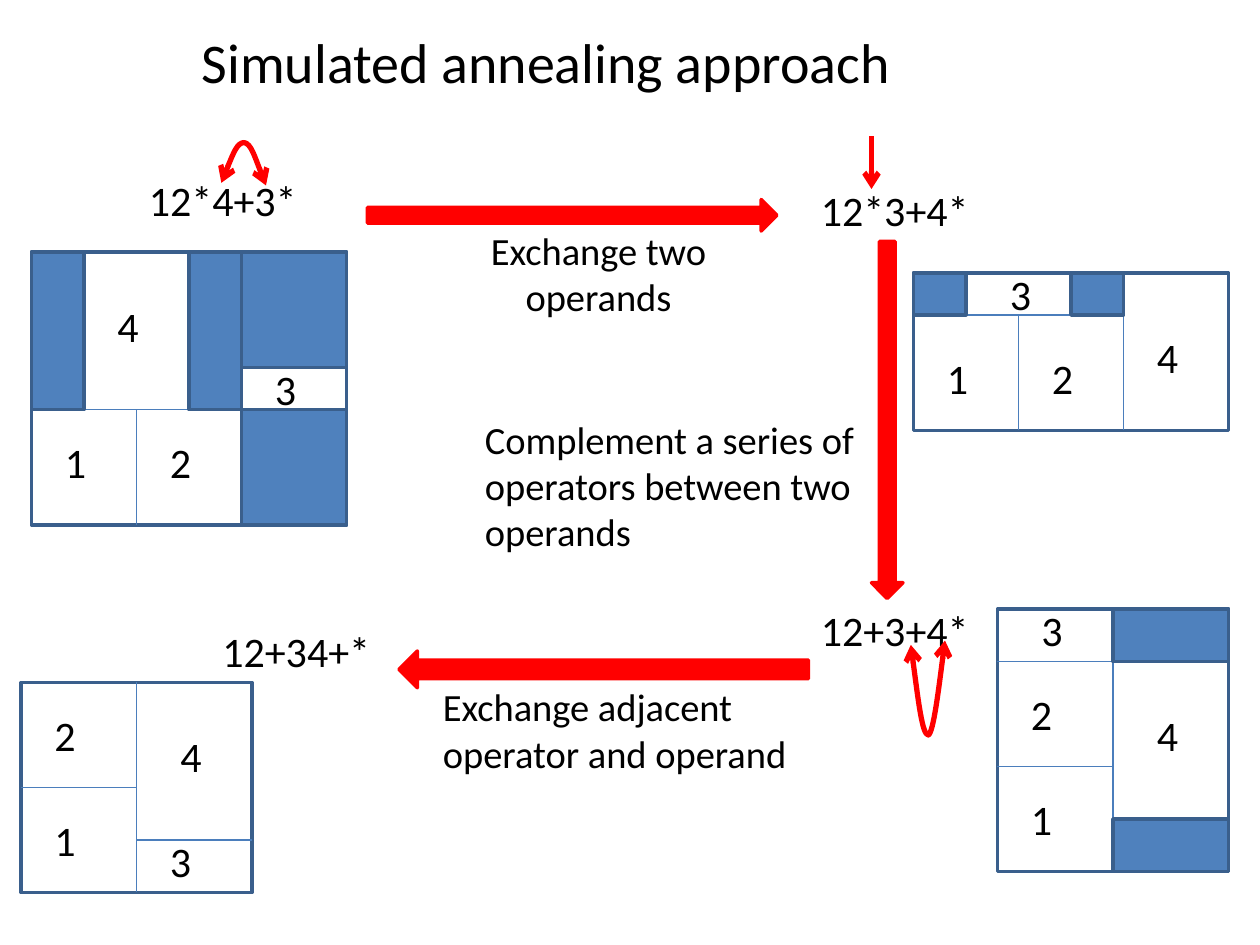
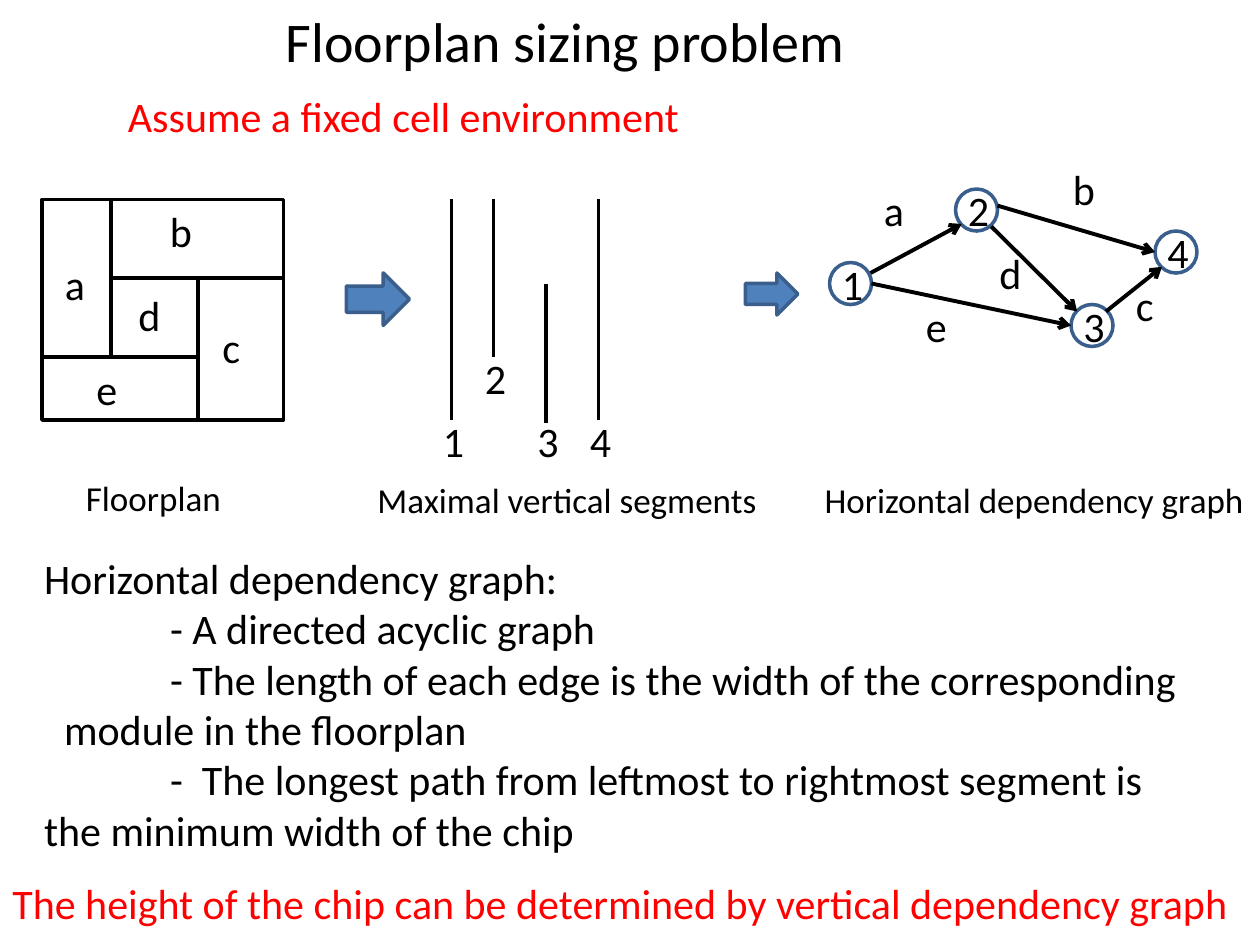
from dataclasses import dataclass

from pptx import Presentation
from pptx.dml.color import RGBColor
from pptx.enum.shapes import MSO_CONNECTOR, MSO_SHAPE
from pptx.enum.text import MSO_ANCHOR, MSO_AUTO_SIZE, PP_ALIGN
from pptx.oxml.ns import qn
from pptx.util import Pt

RECT, OVAL = MSO_SHAPE.RECTANGLE, MSO_SHAPE.OVAL
RIGHT, LEFT, DOWN = MSO_SHAPE.RIGHT_ARROW, MSO_SHAPE.LEFT_ARROW, MSO_SHAPE.DOWN_ARROW
STRAIGHT = MSO_CONNECTOR.STRAIGHT
START, CENTER = PP_ALIGN.LEFT, PP_ALIGN.CENTER
TOP, FIXED = MSO_ANCHOR.TOP, MSO_AUTO_SIZE.NONE


@dataclass(frozen=True)
class Theme:
    font: str = "Calibri"
    black: str = "000000"
    red: str = "FF0000"
    blue: str = "4F81BD"
    navy: str = "3A5F8C"
    wall: str = "4B7EBC"
    head: int = 32
    text: int = 24
    note: int = 22
    small: int = 20
    thin: float = 0.75
    edge: float = 2
    bold: float = 2.25
    thick: float = 3


T = Theme()
FRAME = dict(word_wrap=True, auto_size=FIXED, vertical_anchor=TOP)


def apply(item, values):
    for name, value in values.items():
        setattr(item, name, value)


def rgb(color):
    return RGBColor.from_string(color)


def shift(box, x, y):
    return box[0] + x, box[1] + y


def write(shape, lines, size=T.text, color=T.black, align=START):
    frame = shape.text_frame
    apply(frame, FRAME)
    frame.text = "\n".join(lines)
    for para in frame.paragraphs:
        apply(para, dict(alignment=align, space_before=Pt(0)))
        for run in para.runs:
            apply(run.font, dict(name=T.font, size=Pt(size)))
            run.font.color.rgb = rgb(color)


def text(slide, box, words, **style):
    write(slide.shapes.add_textbox(*map(Pt, box)), [words], **style)


def holder(shape, box, lines, **style):
    apply(shape, dict(zip(("left", "top", "width", "height"), map(Pt, box))))
    write(shape, lines, **style)


def stroke(shape, color, width, ends=()):
    shape.line.color.rgb = rgb(color)
    shape.line.width = Pt(width)
    for end in ends:
        tip = shape.line._get_or_add_ln().makeelement(qn("a:" + end), {"type": "arrow"})
        shape.line._get_or_add_ln().append(tip)


def block(slide, kind, box, fill=None, edge=T.navy):
    shape = slide.shapes.add_shape(kind, *map(Pt, box))
    shape.shadow.inherit = False
    if fill:
        shape.fill.solid()
        shape.fill.fore_color.rgb = rgb(fill)
    else:
        shape.fill.background()
    stroke(shape, edge, T.edge)


def line(slide, start, stop, color=T.black, width=T.bold, ends=()):
    link = slide.shapes.add_connector(STRAIGHT, *map(Pt, (*start, *stop)))
    stroke(link, color, width, ends)
    props = link._element.spPr
    props.append(props.makeelement(qn("a:effectLst"), {}))


def curve(slide, box, points):
    spots = [tuple(map(Pt, shift(box, x, y))) for x, y in points]
    form = slide.shapes.build_freeform(*spots[0], scale=1.0)
    form.add_line_segments(spots[1:], close=False)
    shape = form.convert_to_shape()
    shape.shadow.inherit = False
    shape.fill.background()
    stroke(shape, T.red, T.thick, ("headEnd", "tailEnd"))
    steps = list(shape._element.iter(qn("a:lnTo")))
    for i in range(0, len(steps), 3):
        bend = steps[i].makeelement(qn("a:cubicBezTo"), {})
        steps[i].addprevious(bend)
        for step in steps[i:i + 3]:
            bend.append(step[0])
            step.getparent().remove(step)


def plan(slide, box, cells, walls, labels, edge=T.navy, wall=T.wall, width=T.thin, span=36):
    block(slide, RECT, box, edge=edge)
    for x1, y1, x2, y2 in walls:
        line(slide, shift(box, x1, y1), shift(box, x2, y2), wall, width)
    for x, y, w, h in cells:
        block(slide, RECT, (*shift(box, x, y), w, h), T.blue)
    for name, (x, y) in labels.items():
        text(slide, (*shift(box, x, y), span, 36), name)


def bars(slide, box):
    for name, x, top, end, low in (
        ("1", 12, 0, 126, 120),
        ("2", 36, 0, 90, 84),
        ("3", 66, 48, 128, 120),
        ("4", 96, 0, 126, 120),
    ):
        line(slide, shift(box, x, top), shift(box, x, end))
        text(slide, (*shift(box, x - 12, low), 36, 36), name)


def graph(slide, box):
    nodes = {"1": (0, 60), "2": (72, 18), "3": (138, 84), "4": (186, 42)}
    edges = {
        "a": ((23.5, 66), (75.5, 38), (24, 12)),
        "b": ((96, 27.5), (186, 54), (132, 0)),
        "c": ((158, 88), (190, 62.5), (168, 66)),
        "d": ((92.5, 39.5), (141.5, 88), (90, 48)),
        "e": ((24, 72), (138, 96), (48, 78)),
    }
    for x, y in nodes.values():
        block(slide, OVAL, (*shift(box, x, y), 24, 24))
    for name, (start, stop, spot) in edges.items():
        line(slide, shift(box, *start), shift(box, *stop), ends=("tailEnd",))
        text(slide, (*shift(box, *spot), 30, 36), name)
    for name, (x, y) in nodes.items():
        text(slide, (*shift(box, x, y - 6), 36, 36), name)


def moves(slide):
    for kind, box in (
        (RIGHT, (210, 114, 234, 18)),
        (DOWN, (498, 138, 18, 204)),
        (LEFT, (228, 372, 234, 21)),
    ):
        block(slide, kind, box, T.red, T.red)
    for words, box, align in (
        ("Exchange two operands", (258, 126, 168, 60), CENTER),
        ("Complement a series of operators between two operands", (270, 234, 228, 87), START),
        ("Exchange adjacent operator and operand", (246, 387, 228, 60), START),
    ):
        text(slide, box, words, size=T.note, align=align)
    for words, x, y in (
        ("12*4+3*", 78, 96),
        ("12*3+4*", 462, 102),
        ("12+3+4*", 462, 342),
        ("12+34+*", 120, 354),
    ):
        text(slide, (x, y, 102, 36), words)
    line(slide, (498, 78), (498, 108), T.red, T.thick, ("tailEnd",))
    curve(slide, (126.5, 81.5),
          ((0, 23), (4.5, 11.5), (9, 0), (13, 0), (17, 0.5), (25.5, 24.5), (25.5, 24.5)))
    curve(slide, (520.5, 366),
          ((0, 2.5), (3.5, 28), (6.5, 54), (10, 54), (13, 53), (19.5, 0), (19.5, 0)))


def anneal(deck):
    slide = deck.slides.add_slide(deck.slide_layouts[5])
    holder(slide.shapes.title, (108, 12, 474, 46), ["Simulated annealing approach"], size=T.head)
    plan(slide, (18, 144, 180, 156),
         ((0, 0, 30, 90), (90, 0, 30, 90), (120, 0, 60, 66), (120, 90, 60, 66)),
         ((60, 90, 60, 156), (120, 90, 6, 90)),
         {"1": (12, 102), "2": (72, 102), "4": (42, 24), "3": (132, 60)})
    plan(slide, (522, 156, 180, 90),
         ((0, 0, 30, 24), (90, 0, 30, 24)),
         ((60, 24, 60, 90), (120, 24, 6, 24), (120, 24, 120, 90)),
         {"1": (12, 42), "2": (72, 42), "4": (132, 30), "3": (48, -6)})
    plan(slide, (570, 348, 132, 150),
         ((66, 0, 66, 30), (66, 120, 66, 30)),
         ((66, 30, 66, 120), (66, 30, 0, 30), (66, 90, 0, 90)),
         {"1": (12, 102), "2": (12, 42), "4": (84, 54), "3": (18, -6)})
    plan(slide, (12, 390, 132, 120), (),
         ((66, 0, 66, 120), (132, 90, 66, 90), (66, 60, 0, 60)),
         {"1": (12, 72), "2": (12, 12), "4": (84, 24), "3": (78, 84)})
    moves(slide)


def facts(shape, box):
    items = (
        ("Horizontal dependency graph:", 0, 0),
        ("- A directed acyclic graph", 72, 0),
        ("- The length of each edge is the width of the corresponding module in the floorplan", 11.4, 60.6),
        ("-  The longest path from leftmost to rightmost segment is\vthe minimum width of the chip", 0, 72),
    )
    holder(shape, box, [item[0] for item in items])
    for para, (_, left, first) in zip(shape.text_frame.paragraphs, items):
        props = para._p.get_or_add_pPr()
        for name, value in (("marL", left), ("indent", first)):
            props.set(name, str(Pt(value)))
        props.append(props.makeelement(qn("a:buNone"), {}))


def sizing(deck):
    slide = deck.slides.add_slide(deck.slide_layouts[1])
    holder(slide.shapes.title, (156, 0, 372, 46), ["Floorplan sizing problem"], size=T.head)
    facts(slide.placeholders[1], (18, 312, 678, 181))
    plan(slide, (24, 114, 138, 126), (),
         ((89, 90, 0, 90), (39.5, 90, 39.5, 0), (89, 126, 89, 45), (138, 45, 39.5, 45)),
         {"a": (6, 30), "b": (66, 0), "c": (96, 66), "d": (48, 48), "e": (24, 90)},
         edge=T.black, wall=T.black, width=T.bold, span=30)
    bars(slide, (246, 114))
    graph(slide, (474, 90))
    for box in ((198, 156, 36, 30), (426, 156, 30, 24)):
        block(slide, RIGHT, box, T.blue)
    for words, box, align in (
        ("Floorplan", (42, 268.5, 114, 32), START),
        ("Maximal vertical segments", (198, 270, 252, 32), CENTER),
        ("Horizontal dependency graph", (462, 270, 258, 32), CENTER),
    ):
        text(slide, box, words, size=T.small, align=align)
    for words, box in (
        ("Assume a fixed cell environment", (66, 48, 558, 36)),
        ("The height of the chip can be determined by vertical dependency graph", (0, 498, 720, 36)),
    ):
        text(slide, box, words, color=T.red)


def main():
    deck = Presentation()
    apply(deck, dict(slide_width=Pt(720), slide_height=Pt(540)))
    anneal(deck)
    sizing(deck)
    deck.save("out.pptx")


if __name__ == "__main__":
    main()
